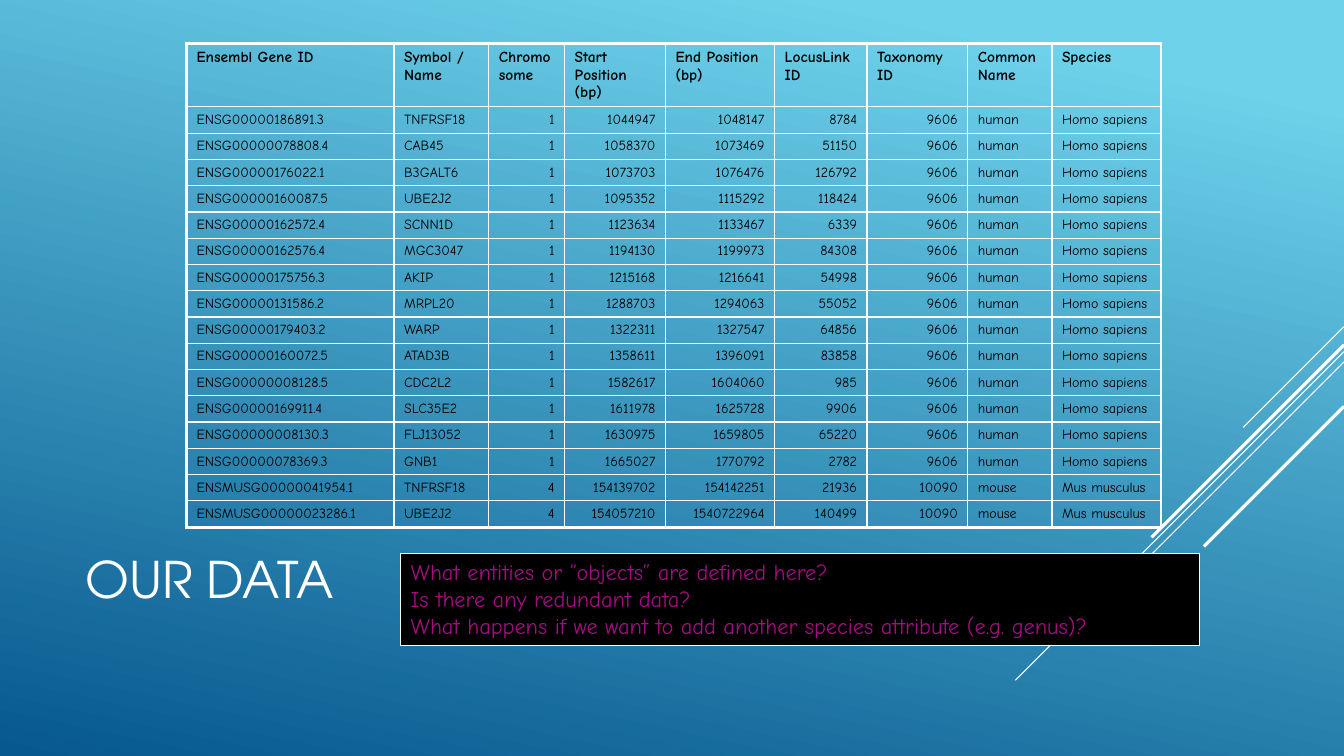
from lxml.etree import SubElement
from pptx import Presentation
from pptx.dml.color import RGBColor
from pptx.enum.shapes import MSO_CONNECTOR, MSO_SHAPE
from pptx.enum.text import MSO_ANCHOR, MSO_AUTO_SIZE, PP_ALIGN
from pptx.oxml.ns import qn
from pptx.util import Cm, Pt

COLORS = {
    "sky": "6ED2EB",
    "deep": "06588E",
    "line": "FFFFFF",
    "cell_text": "000000",
    "box": "000000",
    "question": "A50E82",
}
TITLE_FONT = "TeX Gyre Adventor"
BODY_FONT = "Comic Neue"
SLIDE_W, SLIDE_H = 33.87, 19.05
THIN, THICK = 0.75, 2.25

# Start height on the right edge, horizontal run (cm), line width (pt)
DIAGONALS = [(8.23, 2.54, THIN), (8.86, 8.28, THIN), (9.12, 5.26, THIN),
             (8.69, 4.85, THICK), (10.24, 3.53, THICK)]

# Heading, column width (cm), alignment of the data
COLUMNS = [
    ("Ensembl Gene ID", 5.23, PP_ALIGN.LEFT),
    ("Symbol / Name", 2.39, PP_ALIGN.LEFT),
    ("Chromosome", 1.91, PP_ALIGN.RIGHT),
    ("Start Position (bp)", 2.54, PP_ALIGN.RIGHT),
    ("End Position (bp)", 2.75, PP_ALIGN.RIGHT),
    ("LocusLink ID", 2.33, PP_ALIGN.RIGHT),
    ("Taxonomy ID", 2.54, PP_ALIGN.RIGHT),
    ("Common Name", 2.12, PP_ALIGN.LEFT),
    ("Species", 2.75, PP_ALIGN.LEFT),
]
HUMAN = ["9606", "human", "Homo sapiens"]
MOUSE = ["10090", "mouse", "Mus musculus"]
HUMAN_GENES = """
ENSG00000186891.3 TNFRSF18 1 1044947 1048147 8784
ENSG00000078808.4 CAB45 1 1058370 1073469 51150
ENSG00000176022.1 B3GALT6 1 1073703 1076476 126792
ENSG00000160087.5 UBE2J2 1 1095352 1115292 118424
ENSG00000162572.4 SCNN1D 1 1123634 1133467 6339
ENSG00000162576.4 MGC3047 1 1194130 1199973 84308
ENSG00000175756.3 AKIP 1 1215168 1216641 54998
ENSG00000131586.2 MRPL20 1 1288703 1294063 55052
ENSG00000179403.2 WARP 1 1322311 1327547 64856
ENSG00000160072.5 ATAD3B 1 1358611 1396091 83858
ENSG00000008128.5 CDC2L2 1 1582617 1604060 985
ENSG00000169911.4 SLC35E2 1 1611978 1625728 9906
ENSG00000008130.3 FLJ13052 1 1630975 1659805 65220
ENSG00000078369.3 GNB1 1 1665027 1770792 2782
"""
MOUSE_GENES = """
ENSMUSG00000041954.1 TNFRSF18 4 154139702 154142251 21936
ENSMUSG00000023286.1 UBE2J2 4 154057210 1540722964 140499
"""
QUESTIONS = [
    "What entities or “objects” are defined here?",
    "Is there any redundant data?",
    "What happens if we want to add another species attribute (e.g. genus)?",
]


def rgb(name):
    """Return the named colour."""
    return RGBColor.from_string(COLORS[name])


def add_run(p, text, size, font, color, bold=False):
    """Add one formatted run to a paragraph."""
    r = p.add_run()
    r.text = text
    r.font.size = Pt(size)
    r.font.name = font
    r.font.bold = bold
    r.font.color.rgb = rgb(color)


def set_background(slide):
    """Fill the slide with the blue gradient."""
    fill = slide.background.fill
    fill.gradient()
    fill.gradient_angle = 360 - 102
    for stop, (pos, color) in zip(fill.gradient_stops, [(0.1, "sky"), (1, "deep")]):
        stop.position = pos
        stop.color.rgb = rgb(color)


def add_diagonal(slide, top, run, width):
    """Draw a 45-degree line down and left from the right edge."""
    line = slide.shapes.add_connector(
        MSO_CONNECTOR.STRAIGHT, Cm(SLIDE_W), Cm(top), Cm(SLIDE_W - run), Cm(top + run))
    line.line.color.rgb = rgb("line")
    line.line.width = Pt(width)
    SubElement(line._element.spPr, qn("a:effectLst"))


def set_title(slide, text):
    """Place and format the title placeholder."""
    sp = slide.shapes.title
    sp.left, sp.top, sp.width, sp.height = Cm(1.9), Cm(12.47), Cm(23.7), Cm(4.19)
    tf = sp.text_frame
    tf.auto_size = MSO_AUTO_SIZE.NONE
    tf.vertical_anchor = MSO_ANCHOR.MIDDLE
    p = tf.paragraphs[0]
    p.alignment = PP_ALIGN.LEFT
    add_run(p, text, 36, TITLE_FONT, "line")


def set_borders(cell, widths):
    """Give a cell its left, right, top and bottom borders, in points."""
    tcPr = cell._tc.get_or_add_tcPr()
    for i, (side, width) in enumerate(zip("LRTB", widths)):
        ln = tcPr.makeelement(qn(f"a:ln{side}"), {"w": str(Pt(width))})
        fill = SubElement(ln, qn("a:solidFill"))
        SubElement(fill, qn("a:srgbClr"), val=COLORS["line"])
        tcPr.insert(i, ln)


def fill_cell(cell, text, align, size, bold):
    """Write one unfilled table cell."""
    cell.fill.background()
    p = cell.text_frame.paragraphs[0]
    p.alignment = align
    before = SubElement(p._p.get_or_add_pPr(), qn("a:spcBef"))
    SubElement(before, qn("a:spcPct"), val="20000")
    add_run(p, text, size, BODY_FONT, "cell_text", bold)


def add_gene_table(slide, rows):
    """Add the gene table with a heavy frame and thin inner rules."""
    n_rows, n_cols = len(rows) + 1, len(COLUMNS)
    width = sum(w for _, w, _ in COLUMNS)
    table = slide.shapes.add_table(
        n_rows, n_cols, Cm(4.7), Cm(1.09), Cm(width), Cm(10.47)).table
    table.first_row = table.horz_banding = False
    for col, (_, w, _) in zip(table.columns, COLUMNS):
        col.width = Cm(w)
    headings = [heading for heading, _, _ in COLUMNS]
    for i, values in enumerate([headings] + rows):
        head = i == 0
        table.rows[i].height = Cm(1.19 if head else 0.58)
        for j, text in enumerate(values):
            cell = table.cell(i, j)
            align = PP_ALIGN.LEFT if head else COLUMNS[j][2]
            fill_cell(cell, text, align, 11 if head else 10, head)
            outer = (j == 0, j == n_cols - 1, head, i == n_rows - 1)
            set_borders(cell, [THICK if edge else 1 for edge in outer])


def add_question_box(slide, questions):
    """Add the black box of questions, one paragraph each."""
    sp = slide.shapes.add_shape(
        MSO_SHAPE.RECTANGLE, Cm(10.1), Cm(13.94), Cm(20.12), Cm(2.32))
    sp.shadow.inherit = False
    sp.fill.solid()
    sp.fill.fore_color.rgb = rgb("box")
    sp.line.color.rgb = rgb("line")
    sp.line.width = Pt(THIN)
    tf = sp.text_frame
    tf.word_wrap = True
    tf.auto_size = MSO_AUTO_SIZE.SHAPE_TO_FIT_TEXT
    tf.vertical_anchor = MSO_ANCHOR.TOP
    for i, question in enumerate(questions):
        p = tf.add_paragraph() if i else tf.paragraphs[0]
        p.alignment = PP_ALIGN.LEFT
        add_run(p, question, 16, BODY_FONT, "question")


def main():
    """Build and save the slide."""
    prs = Presentation()
    prs.slide_width, prs.slide_height = Cm(SLIDE_W), Cm(SLIDE_H)
    slide = prs.slides.add_slide(prs.slide_layouts[5])
    set_background(slide)
    for diagonal in DIAGONALS:
        add_diagonal(slide, *diagonal)
    set_title(slide, "OUR DATA")
    rows = [line.split() + organism
            for genes, organism in [(HUMAN_GENES, HUMAN), (MOUSE_GENES, MOUSE)]
            for line in genes.strip().splitlines()]
    add_gene_table(slide, rows)
    add_question_box(slide, QUESTIONS)
    prs.save("out.pptx")


main()
